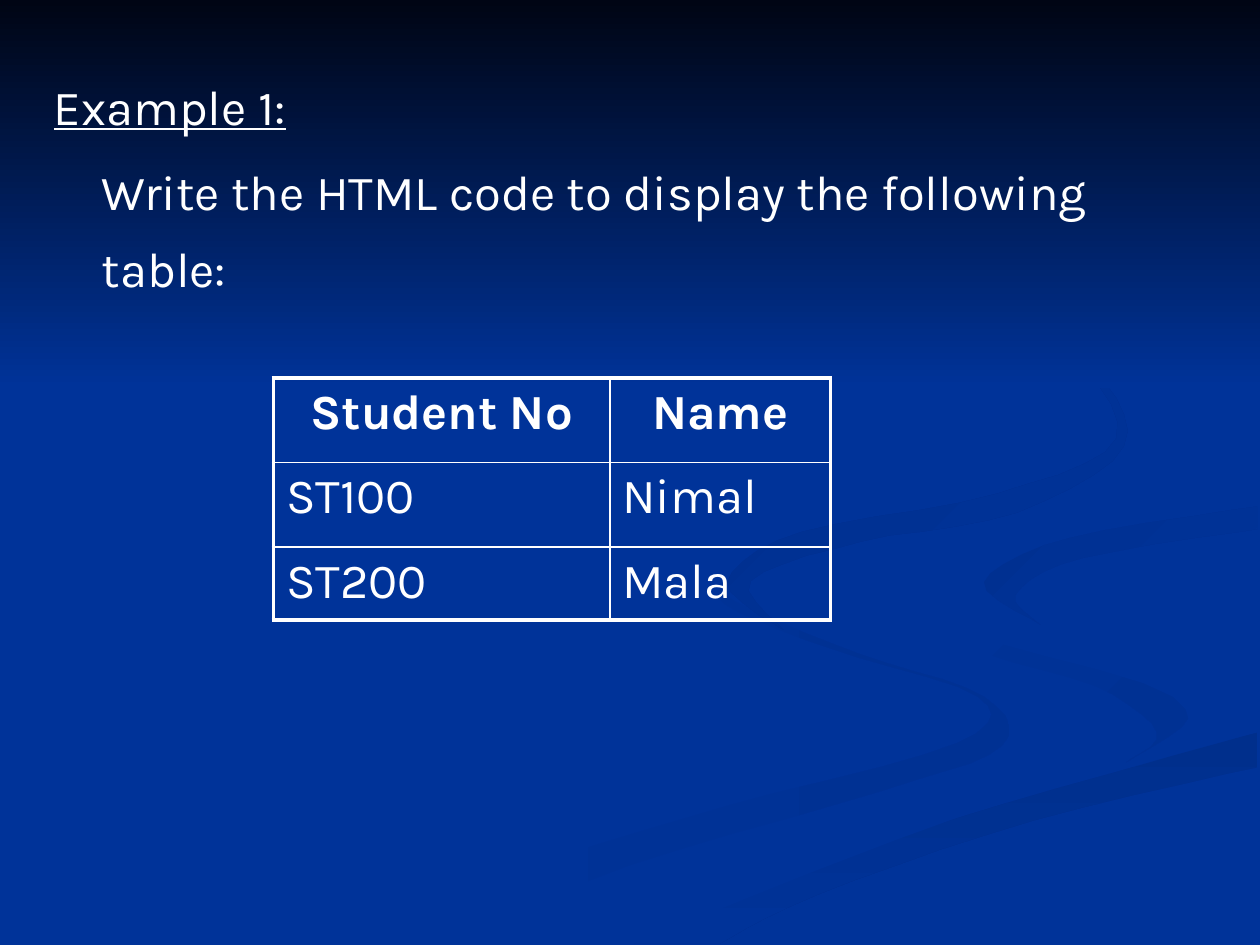
from dataclasses import dataclass

from lxml.etree import SubElement
from pptx import Presentation
from pptx.dml.color import RGBColor
from pptx.enum.shapes import MSO_SHAPE
from pptx.enum.text import PP_ALIGN
from pptx.oxml.ns import qn
from pptx.util import Pt

PX = 9144
FONT = "Karla"
WHITE = "FFFFFF"
BLUE = "003399"
TEXT_SIZE = 28
OUTER_LINE, INNER_LINE = 2.25, 1
CURVE_STEPS = 5
COLUMNS = (267, 175)
ROWS = (67, 67, 58)
STUDENTS = (("Student No", "Name"), ("ST100", "Nimal"), ("ST200", "Mala"))

Point = tuple[int, int]


@dataclass(frozen=True)
class Ribbon:
    """A band between two smooth edges, listed around its outline."""

    colours: tuple[str, ...]
    angle: int
    outward: tuple[Point, ...]
    back: tuple[Point, ...]


RIBBONS = (
    Ribbon((BLUE, "003193"), 0,
           ((575, 459), (576, 480), (654, 513), (776, 553), (759, 590),
            (579, 639), (417, 690), (300, 749)),
           ((361, 749), (499, 687), (699, 628), (795, 592), (781, 553),
            (682, 519), (583, 477), (575, 459))),
    Ribbon((BLUE, "003193"), 45,
           ((724, 464), (774, 503), (905, 540), (943, 570), (894, 605)),
           ((894, 605), (918, 581), (868, 544), (766, 512), (724, 464))),
    Ribbon(("002F8C", BLUE), 90,
           ((503, 749), (630, 693), (797, 638), (998, 581)),
           ((998, 609), (821, 651), (649, 710), (571, 749))),
    Ribbon((BLUE,), 0,
           ((477, 749), (663, 668), (902, 603), (931, 553), (759, 498),
            (730, 449), (999, 387)),
           ((999, 581), (765, 647), (503, 749))),
    Ribbon(("003091", BLUE), 45,
           ((998, 402), (849, 427), (781, 462), (826, 496)),
           ((826, 496), (806, 472), (859, 443), (998, 420))),
    Ribbon(("002F8E", BLUE), 45,
           ((762, 233), (864, 291), (892, 354), (807, 407), (683, 430),
            (596, 461), (622, 500)),
           ((622, 500), (577, 462), (637, 422), (791, 392), (886, 348),
            (846, 279), (762, 233))),
)


def rgb(value: str) -> RGBColor:
    """Turn a hex string into a colour."""
    return RGBColor.from_string(value)


def smooth(edge: tuple[Point, ...]) -> list[Point]:
    """Run a Catmull-Rom curve through the points of an edge."""
    padded = (edge[0], *edge, edge[-1])
    curve = [edge[0]]
    for a, b, c, d in zip(padded, padded[1:], padded[2:], padded[3:]):
        for step in range(1, CURVE_STEPS + 1):
            t = step / CURVE_STEPS
            curve.append(tuple(
                round(q + t * (r - p) / 2
                      + t**2 * (2 * p - 5 * q + 4 * r - s) / 2
                      + t**3 * (3 * q - p - 3 * r + s) / 2)
                for p, q, r, s in zip(a, b, c, d)))
    return curve


def paint(shape, colours: tuple[str, ...], angle: int) -> None:
    """Fill a borderless shape with one colour or a gradient."""
    shape.shadow.inherit = False
    shape.line.fill.background()
    if len(colours) == 1:
        shape.fill.solid()
        shape.fill.fore_color.rgb = rgb(colours[0])
        return
    shape.fill.gradient()
    shape.fill.gradient_angle = -angle % 360
    for stop, colour in zip(shape.fill.gradient_stops, colours):
        stop.color.rgb = rgb(colour)


def draw_ribbon(page, ribbon: Ribbon) -> None:
    """Draw one background ribbon."""
    start, *others = smooth(ribbon.outward) + smooth(ribbon.back)
    builder = page.shapes.build_freeform(*start, scale=PX)
    builder.add_line_segments(others, close=True)
    paint(builder.convert_to_shape(), ribbon.colours, ribbon.angle)


def draw_sky(page) -> None:
    """Draw the dark gradient across the top."""
    sky = page.shapes.add_shape(MSO_SHAPE.RECTANGLE, 0, 0, 1000 * PX, 308 * PX)
    paint(sky, ("000514", BLUE), 90)


def write(para, text: str, bold: bool = False, underline: bool = False) -> None:
    """Put white text in a paragraph."""
    para.text = text
    font = para.font
    font.name, font.size = FONT, Pt(TEXT_SIZE)
    font.bold, font.underline = bold, underline
    font.color.rgb = rgb(WHITE)


def draw_task(page) -> None:
    """Write the example heading and its indented task."""
    box = page.shapes.add_textbox(33 * PX, 42 * PX, 925 * PX, 208 * PX)
    frame = box.text_frame
    frame.word_wrap = True
    heading, task = frame.paragraphs[0], frame.add_paragraph()
    write(heading, "Example 1:", underline=True)
    write(task, "Write the HTML code to display the following table:")
    task._p.get_or_add_pPr().set("marL", str(38 * PX))
    for para in (heading, task):
        para.line_spacing = 1.3
        para.space_before = Pt(5)


def set_border(cell, side: str, width: float) -> None:
    """Add a white line on one side of a cell."""
    line = SubElement(cell._tc.get_or_add_tcPr(), qn(f"a:ln{side}"), w=str(Pt(width)))
    fill = SubElement(line, qn("a:solidFill"))
    SubElement(fill, qn("a:srgbClr"), val=WHITE)


def draw_students(page) -> None:
    """Draw the student table with a heavier outer frame."""
    frame = page.shapes.add_table(len(ROWS), len(COLUMNS), 217 * PX, 300 * PX,
                                  sum(COLUMNS) * PX, sum(ROWS) * PX)
    table = frame.table
    table.first_row = table.horz_banding = False
    for column, width in zip(table.columns, COLUMNS):
        column.width = width * PX
    for row, height in zip(table.rows, ROWS):
        row.height = height * PX
    for i, texts in enumerate(STUDENTS):
        for j, text in enumerate(texts):
            cell = table.cell(i, j)
            para = cell.text_frame.paragraphs[0]
            write(para, text, bold=i == 0)
            para.alignment = PP_ALIGN.CENTER if i == 0 else PP_ALIGN.LEFT
            outer = {"L": j == 0, "R": j == len(COLUMNS) - 1,
                     "T": i == 0, "B": i == len(ROWS) - 1}
            for side, is_outer in outer.items():
                set_border(cell, side, OUTER_LINE if is_outer else INNER_LINE)
            cell.fill.background()


def main() -> None:
    """Build and save the slide."""
    deck = Presentation()
    deck.slide_width, deck.slide_height = 1000 * PX, 750 * PX
    page = deck.slides.add_slide(deck.slide_layouts[6])
    page.background.fill.solid()
    page.background.fill.fore_color.rgb = rgb(BLUE)
    for ribbon in RIBBONS:
        draw_ribbon(page, ribbon)
    draw_sky(page)
    draw_task(page)
    draw_students(page)
    deck.save("out.pptx")


if __name__ == "__main__":
    main()
